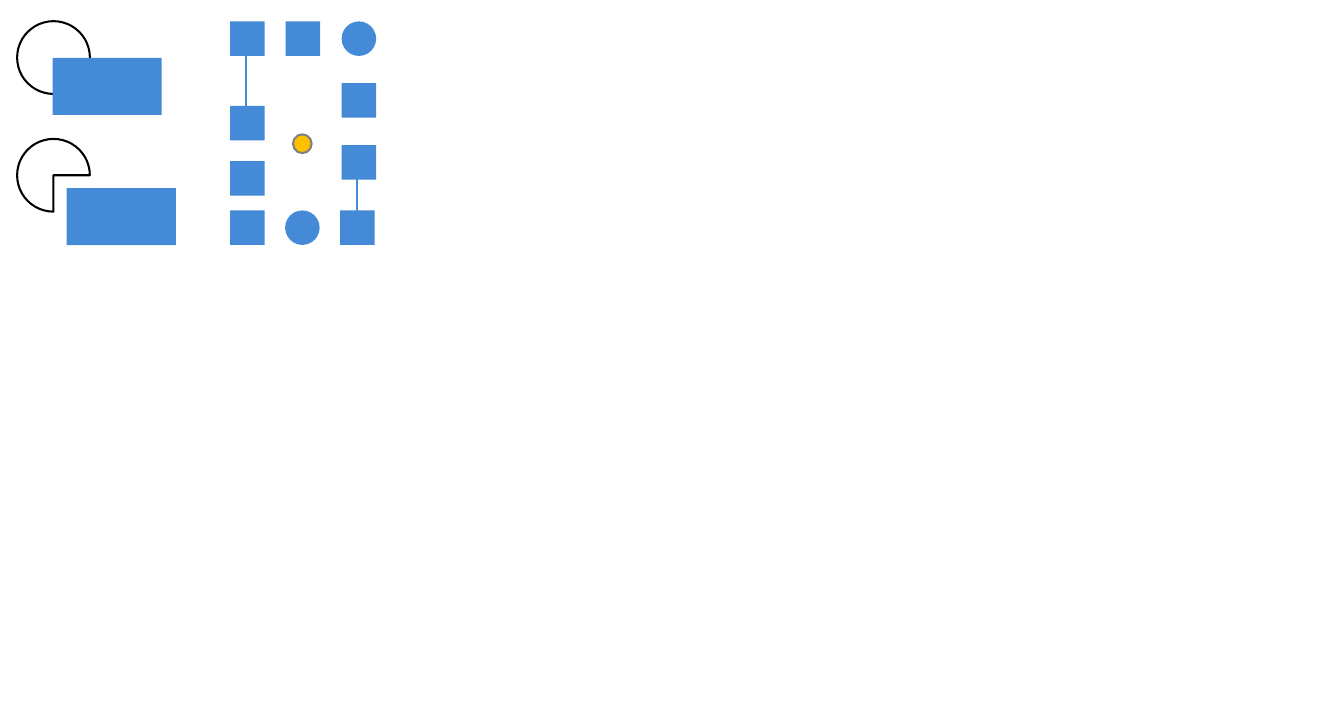
"""Build a slide of circles, blocks and a ring of linked nodes."""
from typing import NamedTuple

from lxml import etree
from pptx import Presentation
from pptx.dml.color import RGBColor
from pptx.enum.shapes import MSO_CONNECTOR, MSO_SHAPE
from pptx.oxml.ns import qn
from pptx.util import Pt

RECT = MSO_SHAPE.RECTANGLE
OVAL = MSO_SHAPE.OVAL
PIE = MSO_SHAPE.PIE
STRAIGHT = MSO_CONNECTOR.STRAIGHT

COLORS = {"blue": "448AD7", "black": "000000", "gold": "FFC000", "gray": "808080"}
SLIDE_W, SLIDE_H = 651.97, 340.16
DISC = 35.3
BLOCK_W, BLOCK_H = 53, 27.7
NODE = 16.75
DOT = 9.1
TOP, BOTTOM = 10.4, 102.1
LEFT, MIDDLE, RIGHT = 111.6, 138.6, 165.7
RIGHT_STEP = 30


class Item(NamedTuple):
    kind: int
    x: float
    y: float
    w: float = NODE
    h: float = NODE
    fill: str | None = "blue"
    line: str | None = None
    adjustments: tuple[float, ...] = ()


class Link(NamedTuple):
    x: float
    y1: float
    y2: float


def rgb(name: str) -> RGBColor:
    """Return the named colour."""
    return RGBColor.from_string(COLORS[name])


def draw_item(shapes, item: Item) -> None:
    """Draw a preset shape with its fill and line."""
    sp = shapes.add_shape(item.kind, Pt(item.x), Pt(item.y), Pt(item.w), Pt(item.h))
    sp.shadow.inherit = False
    for i, value in enumerate(item.adjustments):
        sp.adjustments[i] = value
    if item.fill:
        sp.fill.solid()
        sp.fill.fore_color.rgb = rgb(item.fill)
    else:
        sp.fill.background()
    if item.line:
        sp.line.color.rgb = rgb(item.line)
        sp.line.width = Pt(1)
    else:
        sp.line.fill.background()


def draw_link(shapes, link: Link) -> None:
    """Draw a vertical line between two nodes."""
    cxn = shapes.add_connector(
        STRAIGHT, Pt(link.x), Pt(link.y1), Pt(link.x), Pt(link.y2))
    cxn.line.color.rgb = rgb("blue")
    cxn.line.width = Pt(1)
    etree.SubElement(cxn._element.spPr, qn("a:effectLst"))


FIGURES = [
    Item(OVAL, 8.3, 10.3, DISC, DISC, None, "black"),
    Item(RECT, 25.5, 28.1, BLOCK_W, BLOCK_H),
    Item(PIE, 8.3, 67.4, DISC, DISC, None, "black", (54, 0)),
    Item(RECT, 32.4, 91.3, BLOCK_W, BLOCK_H),
]
LINKS = [Link(119.4, 51.8, 25.9), Link(173.3, 108, 82)]
NODES = [
    Item(OVAL, 138.3, BOTTOM),
    *(Item(kind, RIGHT, TOP + i * RIGHT_STEP)
      for i, kind in enumerate((OVAL, RECT, RECT))),
    Item(RECT, MIDDLE, TOP),
    Item(RECT, 165, BOTTOM),
    *(Item(RECT, LEFT, y) for y in (TOP, 51.4, 78.2, BOTTOM)),
    Item(OVAL, 142.1, 65.2, DOT, DOT, "gold", "gray"),
]


def main() -> None:
    """Build and save the slide."""
    prs = Presentation()
    prs.slide_width, prs.slide_height = Pt(SLIDE_W), Pt(SLIDE_H)
    s = prs.slides.add_slide(prs.slide_layouts[6])
    for item in FIGURES:
        draw_item(s.shapes, item)
    for link in LINKS:
        draw_link(s.shapes, link)
    for item in NODES:
        draw_item(s.shapes, item)
    prs.save("out.pptx")


main()
